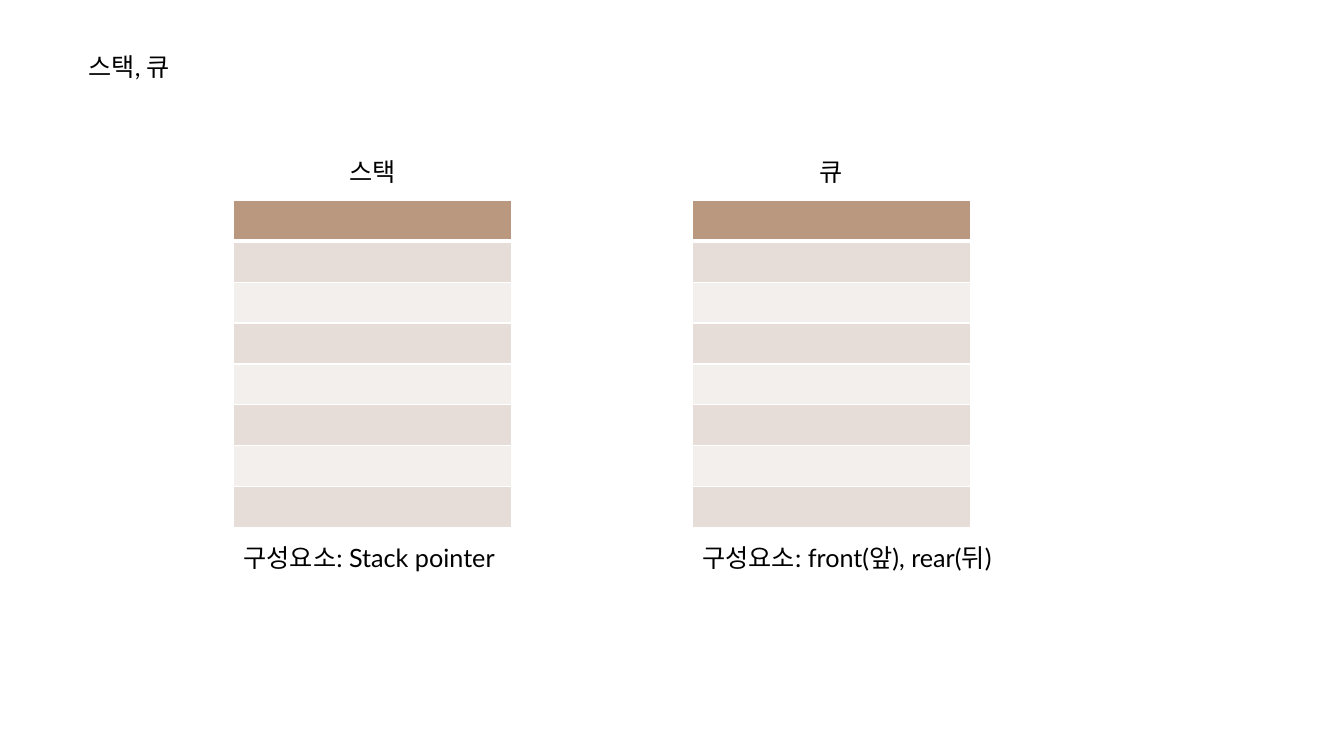
from dataclasses import dataclass

from lxml import etree
from pptx import Presentation
from pptx import util as u
from pptx.dml.color import RGBColor
from pptx.enum import text
from pptx.oxml.ns import qn


@dataclass(frozen=True)
class Theme:
    font: str = "Lato"
    size: int = 18
    ink: str = "000000"
    header: str = "BA987F"
    bands: tuple = ("E7DDD8", "F3EFEC")
    border: str = "FFFFFF"
    thin: int = 1
    thick: int = 3


THEME = Theme()
ROWS, ROW_H = 8, 1.03
LABEL_W, LABEL_H = 1.9, 1.02


def set_all(obj, values):
    for name, value in values.items():
        setattr(obj, name, value)


def add_text(s, words, x, y, w, align=text.PP_ALIGN.LEFT):
    tf = s.shapes.add_textbox(u.Cm(x), u.Cm(y), u.Cm(w), u.Cm(LABEL_H)).text_frame
    set_all(tf, {"word_wrap": True, "auto_size": text.MSO_AUTO_SIZE.SHAPE_TO_FIT_TEXT})
    p = tf.paragraphs[0]
    p.alignment = align
    r = p.add_run()
    r.text = words
    set_all(r.font, {"name": THEME.font, "size": u.Pt(THEME.size)})
    r.font.color.rgb = RGBColor.from_string(THEME.ink)


def set_borders(cell, widths):
    tc_pr = cell._tc.get_or_add_tcPr()
    for side, width in widths.items():
        ln = etree.SubElement(tc_pr, qn(f"a:ln{side}"), w=str(u.Pt(width)))
        fill = etree.SubElement(ln, qn("a:solidFill"))
        etree.SubElement(fill, qn("a:srgbClr"), val=THEME.border)


def add_slots(s, x, y, w):
    """Banded one-column table with a thick rule below its header."""
    table = s.shapes.add_table(ROWS, 1, u.Cm(x), u.Cm(y), u.Cm(w),
                               u.Cm(ROWS * ROW_H)).table
    for i, row in enumerate(table.rows):
        row.height = u.Cm(ROW_H)
        cell = row.cells[0]
        set_borders(cell, {"L": THEME.thin, "R": THEME.thin,
                           "T": THEME.thick if i == 1 else THEME.thin,
                           "B": THEME.thick if i == 0 else THEME.thin})
        cell.fill.solid()
        color = THEME.bands[(i - 1) % 2] if i else THEME.header
        cell.fill.fore_color.rgb = RGBColor.from_string(color)


def add_structure(s, box, name, caption, caption_w):
    """Name, slots and caption, stacked from the top of the box."""
    x, y, w = box
    table_y = y + 1.24
    add_text(s, name, x + (w - LABEL_W) / 2, y, LABEL_W, text.PP_ALIGN.CENTER)
    add_slots(s, x, table_y, w)
    add_text(s, caption, x, table_y + ROWS * ROW_H + 0.25, caption_w)


def build_slide(prs):
    s = prs.slides.add_slide(prs.slide_layouts[6])
    # Title
    add_text(s, "스택, 큐", 1.98, 1.17, 3)
    # Stack and queue side by side
    structures = [("스택", "구성요소: Stack pointer", 7.77),
                  ("큐", "구성요소: front(앞), rear(뒤)", 8.53)]
    for i, (name, caption, caption_w) in enumerate(structures):
        add_structure(s, (5.89 + i * 11.56, 3.81, 7.01), name, caption, caption_w)


prs = Presentation()
set_all(prs, {"slide_width": u.Cm(33.87), "slide_height": u.Cm(19.05)})
build_slide(prs)
prs.save("out.pptx")
